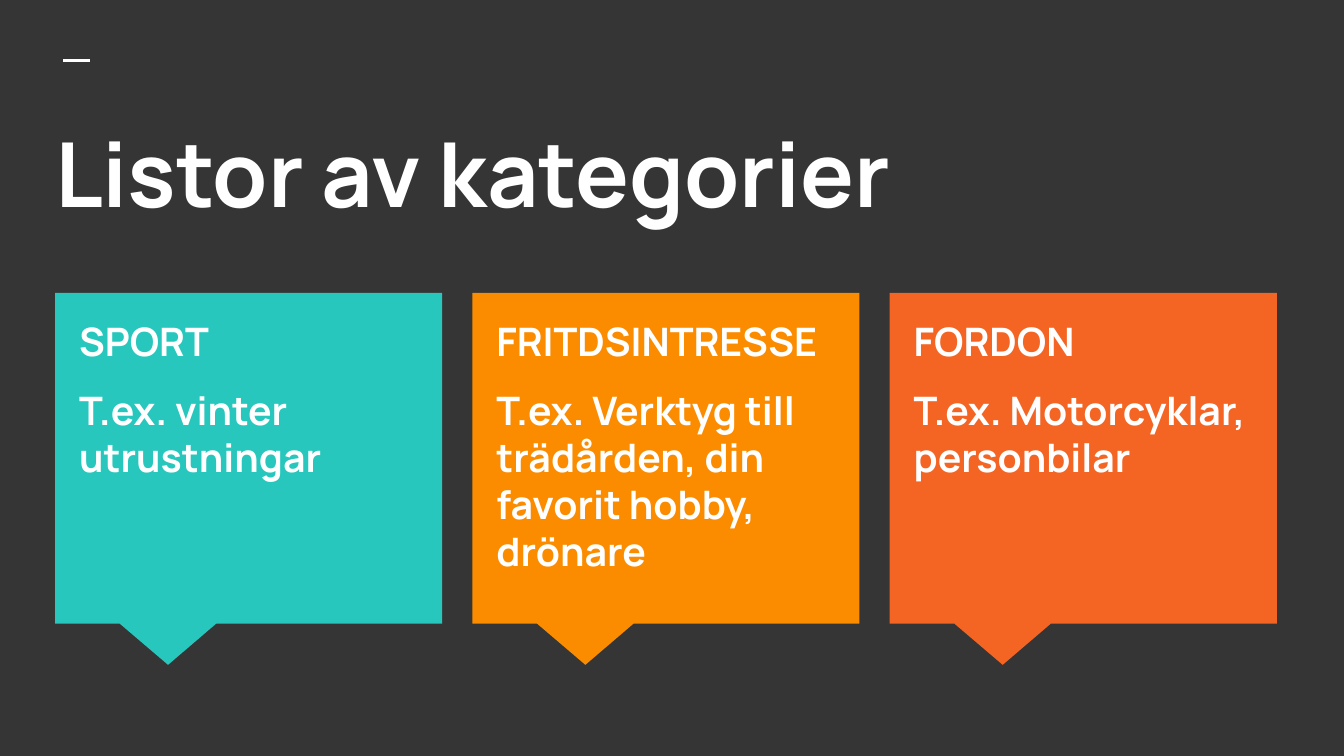
import pptx
import pptx.util
import pptx.dml.color
import pptx.enum.shapes
import pptx.enum.text
import pptx.oxml.ns
from lxml import etree

Inches, Pt = pptx.util.Inches, pptx.util.Pt

TITLE = "Listor av kategorier"
CARDS = [
    ("SPORT", "T.ex. vinter utrustningar", "27C7BD"),
    ("FRITDSINTRESSE",
     "T.ex. Verktyg till trädården, din favorit hobby, drönare", "FB8C00"),
    ("FORDON", "T.ex. Motorcyklar, personbilar", "F46524"),
]
THEME = {"font": "Manrope", "back": "353535", "text": "FFFFFF",
         "title": 48, "body": 21}

PAGE_W = 10
PAGE_H = PAGE_W * 9 / 16
LEFT, LAST, TOP = 0.41, 6.62, 2.18
WIDTH, HEIGHT = 2.88, 2.46
STEP = (LAST - LEFT) / (len(CARDS) - 1)
PAD = 0.08
TEXT_W, TEXT_H = 2.71, 2.19


def color(code):
    return pptx.dml.color.RGBColor.from_string(code)


def write(shape, lines, size):
    frame = shape.text_frame
    frame.word_wrap = True
    frame.auto_size = pptx.enum.text.MSO_AUTO_SIZE.NONE
    frame.vertical_anchor = pptx.enum.text.MSO_ANCHOR.TOP
    frame.margin_left = frame.margin_right = Inches(0.1)
    frame.margin_top = frame.margin_bottom = Inches(0.1)
    frame.text = "\n".join(lines)
    for i, par in enumerate(frame.paragraphs):
        par.alignment = pptx.enum.text.PP_ALIGN.LEFT
        par.space_before = Pt(12 if i else 0)
        for run in par.runs:
            run.font.name = THEME["font"]
            run.font.size = Pt(size)
            run.font.bold = True
            run.font.color.rgb = color(THEME["text"])


def add_dash(slide):
    dash = slide.shapes.add_connector(
        pptx.enum.shapes.MSO_CONNECTOR.STRAIGHT,
        Inches(0.47), Inches(0.45), Inches(0.67), Inches(0.45))
    dash.line.color.rgb = color(THEME["text"])
    dash.line.width = Pt(1.5)
    etree.SubElement(dash._element.spPr, pptx.oxml.ns.qn("a:effectLst"))


def add_card(slide, left, fill):
    card = slide.shapes.add_shape(
        pptx.enum.shapes.MSO_SHAPE.RECTANGULAR_CALLOUT,
        Inches(left), Inches(TOP), Inches(WIDTH), Inches(HEIGHT))
    card.adjustments[0] = -0.208
    card.adjustments[1] = 0.625
    card.shadow.inherit = False
    card.fill.solid()
    card.fill.fore_color.rgb = color(fill)
    card.line.fill.background()


def main():
    deck = pptx.Presentation()
    deck.slide_width, deck.slide_height = Inches(PAGE_W), Inches(PAGE_H)
    slide = deck.slides.add_slide(deck.slide_layouts.get_by_name("Title Only"))
    slide.background.fill.solid()
    slide.background.fill.fore_color.rgb = color(THEME["back"])

    add_dash(slide)
    title = slide.shapes.title
    title.left, title.top = Inches(0.31), Inches(0.78)
    title.width, title.height = Inches(9.43), Inches(1.12)
    write(title, [TITLE], THEME["title"])

    for i, (head, body, fill) in enumerate(CARDS):
        left = LEFT + i * STEP
        add_card(slide, left, fill)
        box = slide.shapes.add_textbox(
            Inches(left + PAD), Inches(TOP + PAD),
            Inches(TEXT_W), Inches(TEXT_H))
        write(box, [head, body], THEME["body"])

    deck.save("out.pptx")


if __name__ == "__main__":
    main()
